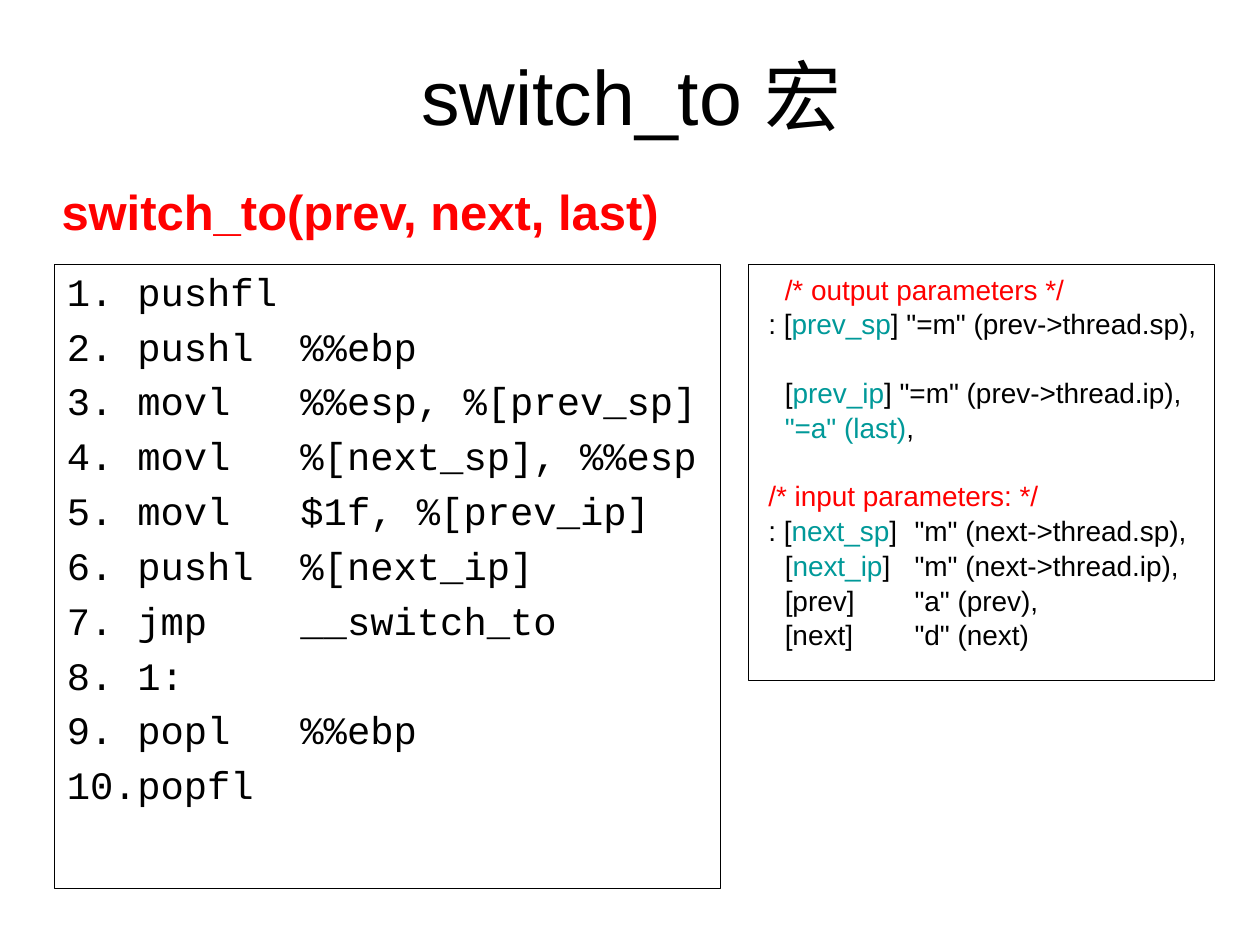
import pptx
import pptx.util
import pptx.dml.color
import pptx.enum.shapes
import pptx.enum.text
import pptx.oxml.ns
import lxml.etree

Inches, Pt = pptx.util.Inches, pptx.util.Pt
Text = pptx.enum.text
HUES = {"ink": "000000", "red": "FF0000", "teal": "009999"}

TITLE = "switch_to 宏"
CALL = "switch_to(prev, next, last)"
CODE = [
    "pushfl",
    "pushl  %%ebp",
    "movl   %%esp, %[prev_sp]",
    "movl   %[next_sp], %%esp",
    "movl   $1f, %[prev_ip]",
    "pushl  %[next_ip]",
    "jmp    __switch_to",
    "1:",
    "popl   %%ebp",
    "popfl",
]
NEAR, FAR, STOP, GAP = 0.06, 0.19, 1.22, 19
PARAMS = [
    (FAR, 0, [("/* output parameters */", "red")]),
    (NEAR, 0, [(": [", "ink"), ("prev_sp", "teal"),
               ("] \"=m\" (prev->thread.sp),", "ink")]),
    (FAR, GAP, [("[", "ink"), ("prev_ip", "teal"),
                ("] \"=m\" (prev->thread.ip),", "ink")]),
    (FAR, 0, [("\"=a\" (last)", "teal"), (",", "ink")]),
    (NEAR, GAP, [("/* input parameters: */", "red")]),
    (NEAR, 0, [(": [", "ink"), ("next_sp", "teal"),
               ("]\t\"m\" (next->thread.sp),", "ink")]),
    (FAR, 0, [("[", "ink"), ("next_ip", "teal"),
              ("]\t\"m\" (next->thread.ip),", "ink")]),
    (FAR, 0, [("[prev]\t\"a\" (prev),", "ink")]),
    (FAR, 0, [("[next]\t\"d\" (next)", "ink")]),
]
SPOTS = {
    "title": (0.51, 0.13, 9, 1.25),
    "code": (0.43, 2.1, 5.29, 4.95),
    "params": (5.94, 2.1, 3.7, 3.3),
    "call": (0.28, 1.39, 5.12, 0.57),
}
FONTS = {
    "title": {"name": "Arial", "size": Pt(44)},
    "code": {"name": "Courier New", "size": Pt(22.2)},
    "params": {"name": "Arial", "size": Pt(16)},
    "call": {"name": "Arial", "size": Pt(28), "bold": True},
}
FRAME = {
    "word_wrap": True, "auto_size": Text.MSO_AUTO_SIZE.NONE,
    "margin_left": Inches(0.1), "margin_right": Inches(0.1),
    "margin_top": Inches(0.05), "margin_bottom": Inches(0.05),
}


def apply(item, values):
    for name, value in values.items():
        setattr(item, name, value)


def color(name):
    return pptx.dml.color.RGBColor.from_string(HUES[name])


def place(shape, key, anchor=Text.MSO_ANCHOR.TOP):
    spot = map(Inches, SPOTS[key])
    apply(shape, dict(zip(("left", "top", "width", "height"), spot)))
    apply(shape.text_frame, {**FRAME, "vertical_anchor": anchor})
    return shape.text_frame


def outline(shape):
    shape.fill.background()
    shape.line.color.rgb = color("ink")
    shape.line.width = Pt(0.75)


def write(para, key, runs, align=Text.PP_ALIGN.LEFT):
    para.alignment = align
    for text, hue in runs:
        run = para.add_run()
        run.text = text
        apply(run.font, FONTS[key])
        run.font.color.rgb = color(hue)


def indent(para, left, first=0):
    props = para._p.get_or_add_pPr()
    props.set("marL", str(Inches(left)))
    props.set("indent", str(Inches(first)))
    return props


def number(para):
    props = indent(para, 0.56, -0.56)
    for tag, key, value in (("a:buFont", "typeface", "Courier New"),
                            ("a:buAutoNum", "type", "arabicPeriod")):
        mark = lxml.etree.SubElement(props, pptx.oxml.ns.qn(tag))
        mark.set(key, value)


def lines(frame, items):
    for i, item in enumerate(items):
        yield (frame.add_paragraph() if i else frame.paragraphs[0]), item


def main():
    deck = pptx.Presentation()
    deck.slide_width, deck.slide_height = Inches(10), Inches(7.5)
    slide = deck.slides.add_slide(deck.slide_layouts[1])
    shapes = slide.shapes

    frame = place(shapes.title, "title", Text.MSO_ANCHOR.MIDDLE)
    write(frame.paragraphs[0], "title", [(TITLE, "ink")], Text.PP_ALIGN.CENTER)

    body = slide.placeholders[1]
    outline(body)
    for para, text in lines(place(body, "code"), CODE):
        apply(para, {"line_spacing": 0.95, "space_before": Pt(6)})
        number(para)
        write(para, "code", [(text, "ink")])

    box = shapes.add_shape(pptx.enum.shapes.MSO_SHAPE.RECTANGLE,
                           *map(Inches, SPOTS["params"]))
    box.shadow.inherit = False
    outline(box)
    for para, (left, gap, runs) in lines(place(box, "params"), PARAMS):
        apply(para, {"line_spacing": 1.04, "space_before": Pt(gap)})
        if any("\t" in text for text, hue in runs):
            indent(para, STOP, left - STOP)
        else:
            indent(para, left)
        write(para, "params", runs)

    label = shapes.add_textbox(*map(Inches, SPOTS["call"]))
    para = place(label, "call").paragraphs[0]
    indent(para, 0.11)
    write(para, "call", [(CALL, "red")])

    deck.save("out.pptx")


if __name__ == "__main__":
    main()
